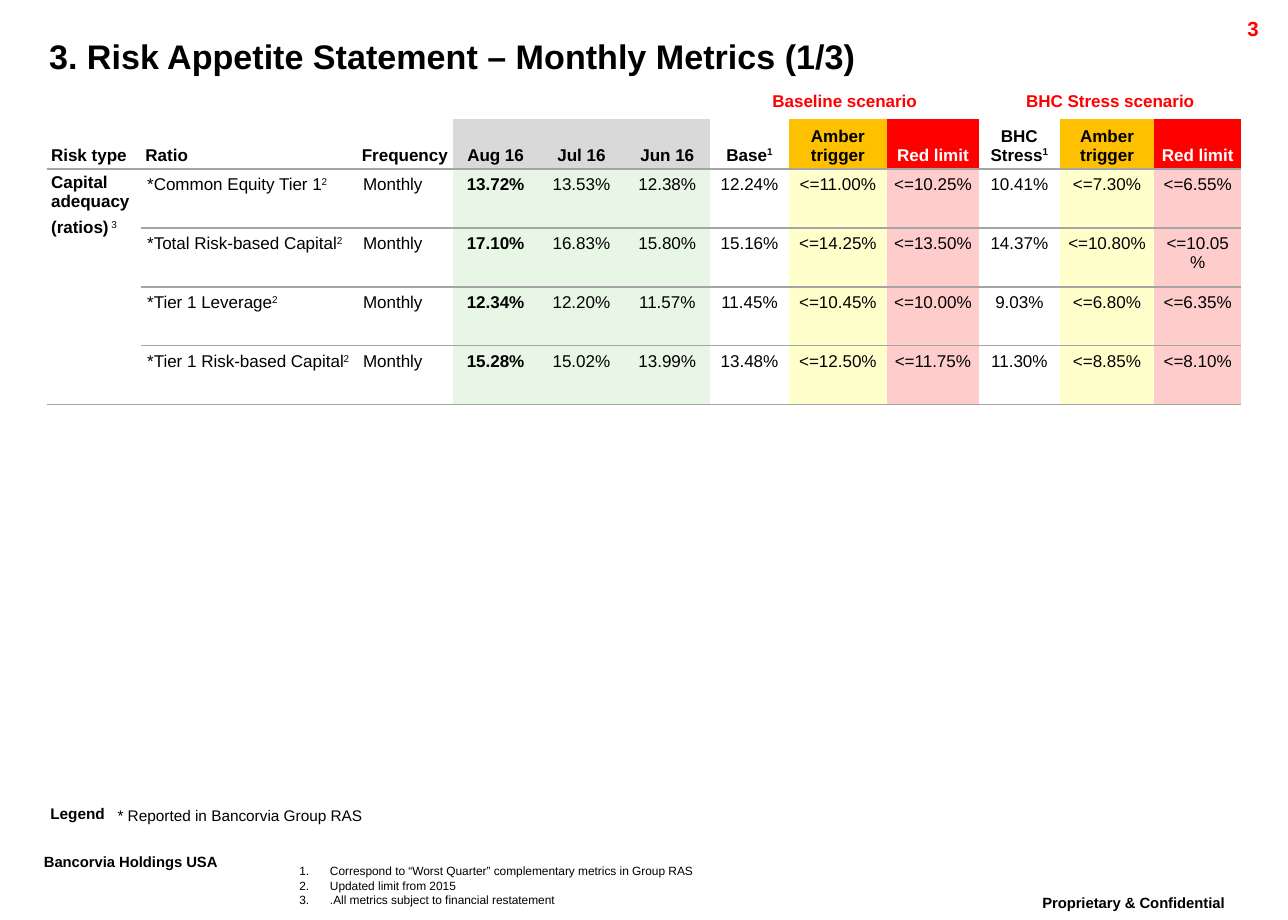
from lxml import etree
from pptx import Presentation
from pptx.dml.color import RGBColor
from pptx.enum.text import MSO_ANCHOR, MSO_AUTO_SIZE, PP_ALIGN
from pptx.oxml.ns import qn
from pptx.util import Pt

LEFT, MID, RIGHT = PP_ALIGN.LEFT, PP_ALIGN.CENTER, PP_ALIGN.RIGHT
TOP, LOW = MSO_ANCHOR.TOP, MSO_ANCHOR.BOTTOM
FIXED = MSO_AUTO_SIZE.NONE
PLAIN = "{2D5ABB26-0587-4C30-8999-92F81FD0307C}"  # table style without grid

BLACK, WHITE, RED = "000000", "FFFFFF", "FF0000"
GREY, AMBER, RULE = "D9D9D9", "FFC000", "A5A5A5"
GREEN, YELLOW, PINK = "E8F6E6", "FFFFCC", "FFCCCC"

WIDTHS = [55.4, 126.7, 56.2, 50.4, 50.4, 50.4, 46.1, 57.6, 54, 47.5, 55.4, 51.1]
HEIGHTS = [18, 29.5] + [34.56] * 4
HEADS = ["Risk type", "Ratio", "Frequency", "Aug 16", "Jul 16", "Jun 16", "Base^1",
         "Amber trigger", "Red limit", "BHC Stress^1", "Amber trigger", "Red limit"]
HEAD_FILLS = [None] * 3 + [GREY] * 3 + [None, AMBER, RED] * 2
BODY_FILLS = [None] * 3 + [GREEN] * 3 + [None, YELLOW, PINK] * 2
METRICS = [
    ["*Common Equity Tier 1^2", "Monthly", "13.72%", "13.53%", "12.38%", "12.24%",
     "<=11.00%", "<=10.25%", "10.41%", "<=7.30%", "<=6.55%"],
    ["*Total Risk-based Capital^2", "Monthly", "17.10%", "16.83%", "15.80%", "15.16%",
     "<=14.25%", "<=13.50%", "14.37%", "<=10.80%", "<=10.05%"],
    ["*Tier 1 Leverage^2", "Monthly", "12.34%", "12.20%", "11.57%", "11.45%",
     "<=10.45%", "<=10.00%", "9.03%", "<=6.80%", "<=6.35%"],
    ["*Tier 1 Risk-based Capital^2", "Monthly", "15.28%", "15.02%", "13.99%", "13.48%",
     "<=12.50%", "<=11.75%", "11.30%", "<=8.85%", "<=8.10%"],
]
NOTES = ["Correspond to “Worst Quarter” complementary metrics in Group RAS",
         "Updated limit from 2015",
         ".All metrics subject to financial restatement"]


def tint(code):
    return RGBColor.from_string(code)


def write(frame, text, size=10, color=BLACK, bold=False, align=LEFT, lead=1.0,
          gap=0, thin=False):
    """Fill a text frame; text after ^ is raised, thin keeps it from being bold."""
    for i, line in enumerate(text.split("\n")):
        para = frame.add_paragraph() if i else frame.paragraphs[0]
        para.alignment, para.line_spacing = align, lead
        para.space_before = para.space_after = Pt(gap)
        for k, part in enumerate(line.split("^")):
            if not part:
                continue
            run = para.add_run()
            run.text = part
            font = run.font
            font.name, font.size = "Arial", Pt(size)
            font.bold = bold and not (k and thin)
            font.color.rgb = tint(color)
            if k:
                font._element.set("baseline", "30000")


def place(shape, x, y, w, h, inset=None):
    shape.left, shape.top, shape.width, shape.height = Pt(x), Pt(y), Pt(w), Pt(h)
    frame = shape.text_frame
    frame.word_wrap, frame.auto_size = True, FIXED
    frame.vertical_anchor = TOP
    if inset is not None:
        frame.margin_left = frame.margin_right = Pt(inset)
        frame.margin_top = frame.margin_bottom = Pt(inset)
    return frame


def label(slide, text, x, y, w, h, inset=None, **style):
    box = slide.shapes.add_textbox(Pt(x), Pt(y), Pt(w), Pt(h))
    write(place(box, x, y, w, h, inset), text, lead=0.86, **style)


def number(frame):
    """Turn each paragraph into a numbered item with a hanging indent."""
    for para in frame.paragraphs:
        props = para._p.get_or_add_pPr()
        props.set("marL", str(Pt(18)))
        props.set("indent", str(-Pt(18)))
        etree.SubElement(props, qn("a:buFont"), typeface="+mj-lt")
        etree.SubElement(props, qn("a:buAutoNum"), type="arabicPeriod")


def paint(cell, fill):
    if fill:
        cell.fill.solid()
        cell.fill.fore_color.rgb = tint(fill)
    else:
        cell.fill.background()


def rule(cell):
    """Draw the line below a cell."""
    line = etree.Element(qn("a:lnB"), w=str(Pt(1)))
    solid = etree.SubElement(line, qn("a:solidFill"))
    etree.SubElement(solid, qn("a:srgbClr"), val=RULE)
    cell._tc.get_or_add_tcPr().insert(0, line)


def enter(cell, text, inset, anchor=TOP, **style):
    cell.margin_left = cell.margin_right = Pt(inset)
    cell.margin_top = cell.margin_bottom = Pt(inset)
    cell.vertical_anchor = anchor
    write(cell.text_frame, text, **style)


def add_grid(slide):
    rows, cols = len(HEIGHTS), len(WIDTHS)
    grid = slide.shapes.add_table(rows, cols, Pt(27.4), Pt(51.8),
                                  Pt(sum(WIDTHS)), Pt(sum(HEIGHTS))).table
    grid.first_row = grid.horz_banding = False
    grid._tbl.tblPr[0].text = PLAIN
    for col, width in zip(grid.columns, WIDTHS):
        col.width = Pt(width)
    for row, height in zip(grid.rows, HEIGHTS):
        row.height = Pt(height)

    # Fills, and a small type size for cells that stay empty
    fills = [[None] * 3 + [WHITE] * 9, HEAD_FILLS] + [BODY_FILLS] * len(METRICS)
    for r in range(rows):
        for c in range(cols):
            cell = grid.cell(r, c)
            paint(cell, fills[r][c])
            cell.margin_top = cell.margin_bottom = Pt(2.6)
            end = cell.text_frame.paragraphs[0]._p.get_or_add_endParaRPr()
            end.set("sz", "1000")

    # Scenario band
    for c, text in ((6, "Baseline scenario"), (9, "BHC Stress scenario")):
        grid.cell(0, c).merge(grid.cell(0, c + 2))
        enter(grid.cell(0, c), text, 2.6, color=RED, bold=True, align=MID, gap=2)

    # Column heads
    for c, text in enumerate(HEADS):
        color = WHITE if HEAD_FILLS[c] == RED else BLACK
        enter(grid.cell(1, c), text, 2.6, LOW, color=color, bold=True, gap=2,
              align=LEFT if c < 2 else MID)
        rule(grid.cell(1, c))

    # Risk type
    kind = grid.cell(2, 0)
    kind.merge(grid.cell(rows - 1, 0))
    enter(kind, "Capital adequacy\n(ratios)^ 3", 2.6, bold=True, gap=2, thin=True)
    rule(kind)
    rule(grid.cell(rows - 1, 0))

    # Metrics
    for r, metric in enumerate(METRICS, 2):
        for c, text in enumerate(metric, 1):
            enter(grid.cell(r, c), text, 3.6, bold=c == 3,
                  align=LEFT if c < 3 else MID)
            rule(grid.cell(r, c))


def main():
    deck = Presentation()
    deck.slide_width, deck.slide_height = Pt(756), Pt(540)
    slide = deck.slides.add_slide(deck.slide_layouts[1])

    # Title
    head = place(slide.shapes.title, 21.6, 20.9, 707, 28.1)
    write(head, "3. Risk Appetite Statement – Monthly Metrics (1/3)",
          size=20, bold=True, lead=0.86)

    add_grid(slide)

    # Footnotes
    notes = place(slide.placeholders[1], 175.7, 507, 393.8, 34, 0)
    write(notes, "\n".join(NOTES), size=7)
    number(notes)

    # Legend
    label(slide, "Legend", 29.5, 473.8, 46.8, 9.4, 0, size=9, bold=True)
    label(slide, "* Reported in Bancorvia Group RAS", 67.7, 474.5, 146.2, 9.4, 0,
          size=9, align=MID)

    # Page number and footers
    label(slide, "3", 673.9, 7.9, 72, 17.3, size=12, color=RED, bold=True, align=RIGHT)
    label(slide, "^Bancorvia Holdings USA", 18.7, 497.5, 137.5, 25.2, size=15, bold=True)
    label(slide, "^Proprietary & Confidential", 586.8, 522, 157, 25.2, size=15,
          bold=True, align=MID)

    deck.save("out.pptx")


if __name__ == "__main__":
    main()
